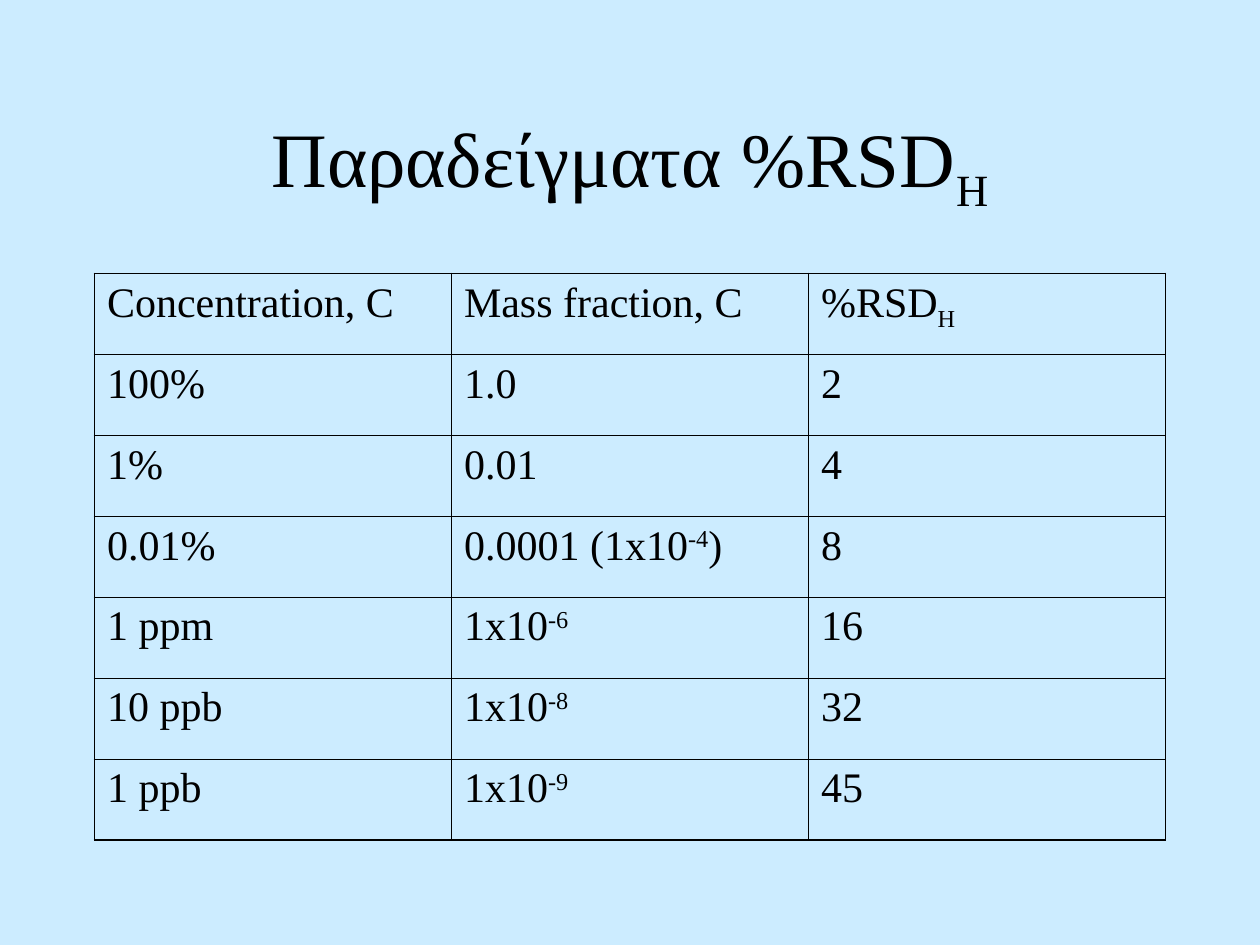
import pptx
import pptx.util
import pptx.dml.color
import pptx.enum.text
import pptx.oxml
import pptx.oxml.ns
from pptx.util import Inches

COLORS = {"background": "CCECFF", "ink": "000000"}
FONT = "Times New Roman"
THIN, THICK = 0.45, 1.08
SUB, SUP = -25, 30

ROWS = [
    ["Concentration, C", "Mass fraction, C", ["%RSD", ("H", SUB)]],
    ["100%", "1.0", "2"],
    ["1%", "0.01", "4"],
    ["0.01%", ["0.0001 (1x10", ("-4", SUP), ")"], "8"],
    ["1 ppm", ["1x10", ("-6", SUP)], "16"],
    ["10 ppb", ["1x10", ("-8", SUP)], "32"],
    ["1 ppb", ["1x10", ("-9", SUP)], "45"],
]


def rgb(name):
    return pptx.dml.color.RGBColor.from_string(COLORS[name])


def write_text(tf, text, size=24, color="ink", align="LEFT"):
    p = tf.paragraphs[0]
    p.alignment = getattr(pptx.enum.text.PP_ALIGN, align)
    for part in [text] if isinstance(text, str) else text:
        words, baseline = (part, 0) if isinstance(part, str) else part
        r = p.add_run()
        r.text = words
        r.font.size = pptx.util.Pt(size)
        r.font.name = FONT
        r.font.color.rgb = rgb(color)
        if baseline:
            r._r.get_or_add_rPr().set("baseline", str(baseline * 1000))


def set_borders(cell, widths):
    tcPr = cell._tc.get_or_add_tcPr()
    for i, (side, width) in enumerate(widths.items()):
        ln = pptx.oxml.parse_xml(
            f'<a:ln{side} {pptx.oxml.ns.nsdecls("a")} w="{pptx.util.Pt(width)}">'
            f'<a:solidFill><a:srgbClr val="{COLORS["ink"]}"/></a:solidFill>'
            f'</a:ln{side}>'
        )
        tcPr.insert(i, ln)


def add_title(s, text):
    title = s.shapes.title
    title.left, title.top = Inches(0.75), Inches(0.67)
    title.width, title.height = Inches(8.5), Inches(1.25)
    tf = title.text_frame
    tf.word_wrap = True
    tf.vertical_anchor = pptx.enum.text.MSO_ANCHOR.MIDDLE
    write_text(tf, text, size=44, align="CENTER")


def add_grid(s, rows):
    last_row, last_col = len(rows) - 1, len(rows[0]) - 1
    table = s.shapes.add_table(
        len(rows), len(rows[0]),
        Inches(0.75), Inches(2.17), Inches(8.5), Inches(4.5),
    ).table
    table.first_row = table.horz_banding = False
    for i, row in enumerate(rows):
        for j, text in enumerate(row):
            cell = table.cell(i, j)
            cell.fill.background()
            write_text(cell.text_frame, text)
            set_borders(cell, {
                "L": THICK if j == 0 else THIN,
                "R": THICK if j == last_col else THIN,
                "T": THICK if i == 0 else THIN,
                "B": THICK if i == last_row else THIN,
            })


def main():
    prs = pptx.Presentation()
    prs.slide_width, prs.slide_height = Inches(10), Inches(7.5)
    s = prs.slides.add_slide(prs.slide_layouts[5])
    s.background.fill.solid()
    s.background.fill.fore_color.rgb = rgb("background")
    add_title(s, ["Παραδείγματα %RSD", ("H", SUB)])
    add_grid(s, ROWS)
    prs.save("out.pptx")


if __name__ == "__main__":
    main()
